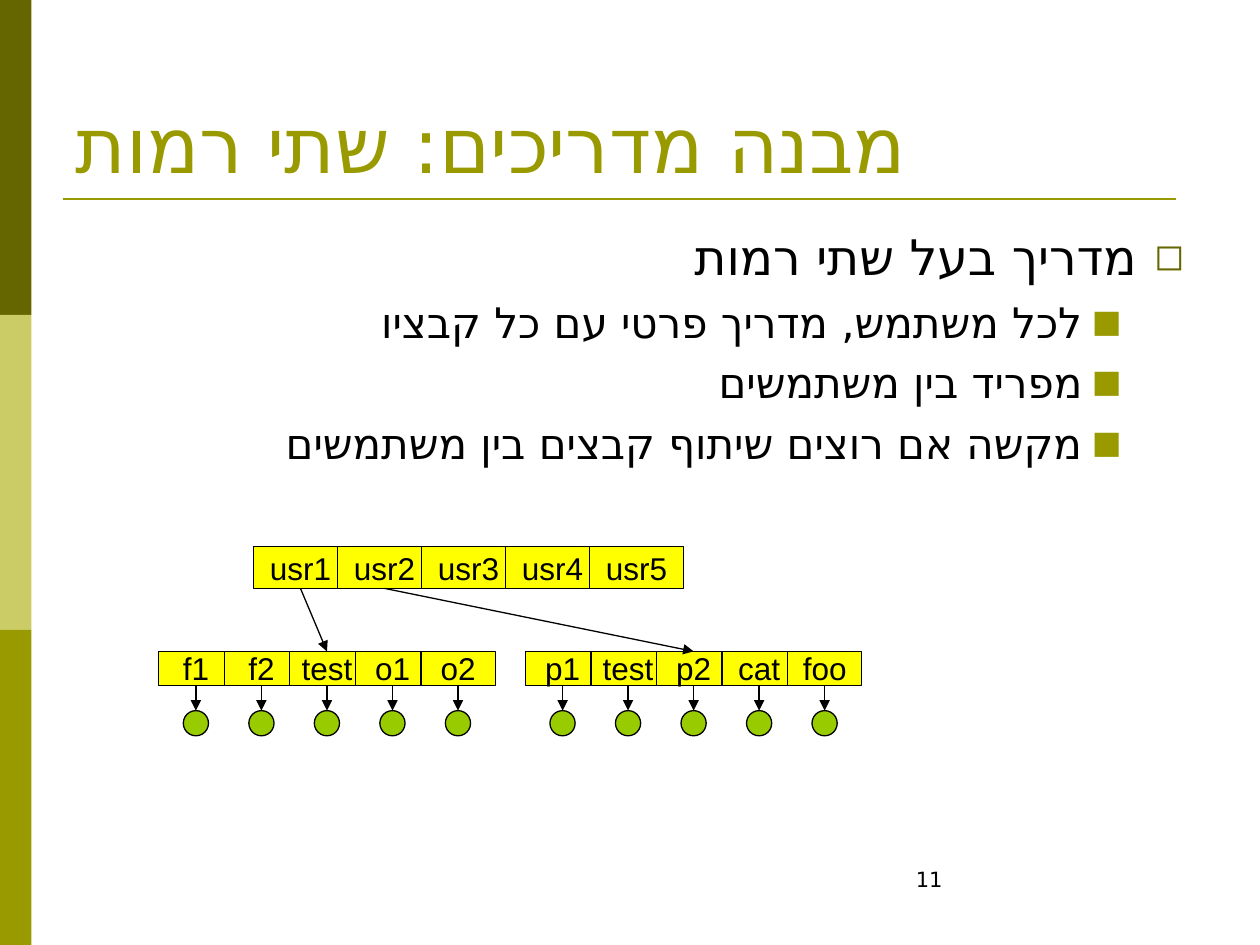
from lxml.etree import SubElement
from pptx import Presentation
from pptx.dml.color import RGBColor
from pptx.enum.shapes import MSO_CONNECTOR as Link, MSO_SHAPE as Shape
from pptx.enum.text import MSO_ANCHOR as Anchor, PP_ALIGN as Align
from pptx.oxml.ns import qn
from pptx.util import Inches, Pt

COLORS = {
    "dark": "666600", "pale": "CCCC66", "olive": "999900",
    "cell": "FFFF00", "file": "99CC00", "ink": "000000",
}
TOP, BOTTOM = 0, 2


def color(name):
    return RGBColor.from_string(COLORS[name])


class Board:
    """Holds the style and the current slide."""

    sans, serif, label = "DejaVu Sans", "Times New Roman", "Arial"
    thin = 0.75

    def __init__(self, slide):
        self.slide = slide
        self.shapes = slide.shapes

    def style(self, para, size, face, tint="ink", align=Align.LEFT):
        para.alignment = align
        font = para.font
        font.size, font.name = Pt(size), face
        font.color.rgb = color(tint)

    def hebrew(self, para):
        """Set right-to-left order and the complex-script font."""
        props = para._p.get_or_add_pPr()
        props.set("rtl", "1")
        SubElement(props.find(qn("a:defRPr")), qn("a:cs"), typeface=self.sans)

    def title(self, text, *box):
        head = self.shapes.title
        head.left, head.top, head.width, head.height = map(Inches, box)
        frame = head.text_frame
        frame.text, frame.vertical_anchor = text, Anchor.BOTTOM
        self.style(frame.paragraphs[0], 44, self.serif, "olive")
        self.hebrew(frame.paragraphs[0])

    def text(self, *box):
        frame = self.shapes.add_textbox(*map(Inches, box)).text_frame
        frame.word_wrap = True
        return frame

    def bullet(self, para, char, tint, margin, hang):
        props = para._p.get_or_add_pPr()
        props.set("marL", str(Inches(margin)))
        props.set("indent", str(-Inches(hang)))
        SubElement(SubElement(props, qn("a:buClr")), qn("a:srgbClr"), val=COLORS[tint])
        SubElement(props, qn("a:buSzPct"), val="75000")
        SubElement(props, qn("a:buFont"), typeface=self.sans)
        SubElement(props, qn("a:buChar"), char=char)

    def points(self, items, *box):
        frame = self.text(*box)
        for i, (level, text) in enumerate(items):
            para = frame.add_paragraph() if i else frame.paragraphs[0]
            para.text, para.level = text, level
            if level:
                self.bullet(para, "■", "olive", 0.81, 0.31)
            else:
                self.bullet(para, "◻", "dark", 0.38, 0.38)
            para.space_before = Pt(6 if i else 0)
            self.style(para, 24 if level else 28, self.sans, align=Align.RIGHT)
            self.hebrew(para)

    def number(self, text, *box):
        para = self.text(*box).paragraphs[0]
        para.text = text
        self.style(para, 12, self.sans)

    def block(self, kind, fill, *box, edge=True):
        item = self.shapes.add_shape(kind, *map(Inches, box))
        item.shadow.inherit = False
        item.fill.solid()
        item.fill.fore_color.rgb = color(fill)
        if edge:
            item.line.color.rgb = color("ink")
            item.line.width = Pt(self.thin)
        else:
            item.line.fill.background()
        return item

    def row(self, names, left, top, step, width, height):
        """Draw overlapping directory cells and return them."""
        cells = []
        for i, name in enumerate(names):
            cell = self.block(Shape.RECTANGLE, "cell", left + i * step, top, width, height)
            frame = cell.text_frame
            frame.text, frame.word_wrap = name, False
            frame.vertical_anchor = Anchor.MIDDLE
            self.style(frame.paragraphs[0], 18, self.label, align=Align.CENTER)
            cells.append(cell)
        return cells

    def line(self, start, end, tint="ink", width=thin):
        ends = [Inches(n) for n in (*start, *end)]
        link = self.shapes.add_connector(Link.STRAIGHT, *ends)
        link.line.color.rgb = color(tint)
        link.line.width = Pt(width)
        SubElement(link._element.spPr, qn("a:effectLst"))
        return link

    def arrow(self, source, target):
        link = self.line((0, 0), (0, 0))
        link.begin_connect(source, BOTTOM)
        link.end_connect(target, TOP)
        SubElement(link.line._get_or_add_ln(), qn("a:tailEnd"), type="triangle")

    def folder(self, names, left):
        """Draw a user directory with a file below each cell."""
        step, width, size = 0.52, 0.59, 0.2
        cells = self.row(names, left, 5.17, step, width, 0.27)
        for i, cell in enumerate(cells):
            x = left + i * step + (width - size) / 2
            self.arrow(cell, self.block(Shape.OVAL, "file", x, 5.64, size, size))
        return cells


def main():
    deck = Presentation()
    deck.slide_width, deck.slide_height = Inches(10), Inches(7.5)
    board = Board(deck.slides.add_slide(deck.slide_layouts[5]))

    for i, tint in enumerate(("dark", "pale", "olive")):
        board.block(Shape.RECTANGLE, tint, 0, i * 2.5, 0.25, 2.5, edge=False)
    board.line((0.5, 1.58), (9.33, 1.58), "olive", 1.5)
    board.title("מבנה מדריכים: שתי רמות", 0.5, 0.3, 9, 1.25)
    board.points([
        (0, "מדריך בעל שתי רמות"),
        (1, "לכל משתמש, מדריך פרטי עם כל קבציו"),
        (1, "מפריד בין משתמשים"),
        (1, "מקשה אם רוצים שיתוף קבצים בין משתמשים"),
    ], 0.5, 1.75, 9, 4.95)

    users = board.row([f"usr{n}" for n in range(1, 6)], 2.01, 4.34, 2 / 3, 0.75, 0.33)
    first = board.folder(["f1", "f2", "test", "o1", "o2"], 1.26)
    second = board.folder(["p1", "test", "p2", "cat", "foo"], 4.17)
    for user, files in zip(users, (first, second)):
        board.arrow(user, files[2])

    board.number("11", 7.17, 6.83, 2.33, 0.5)
    deck.save("out.pptx")


if __name__ == "__main__":
    main()
